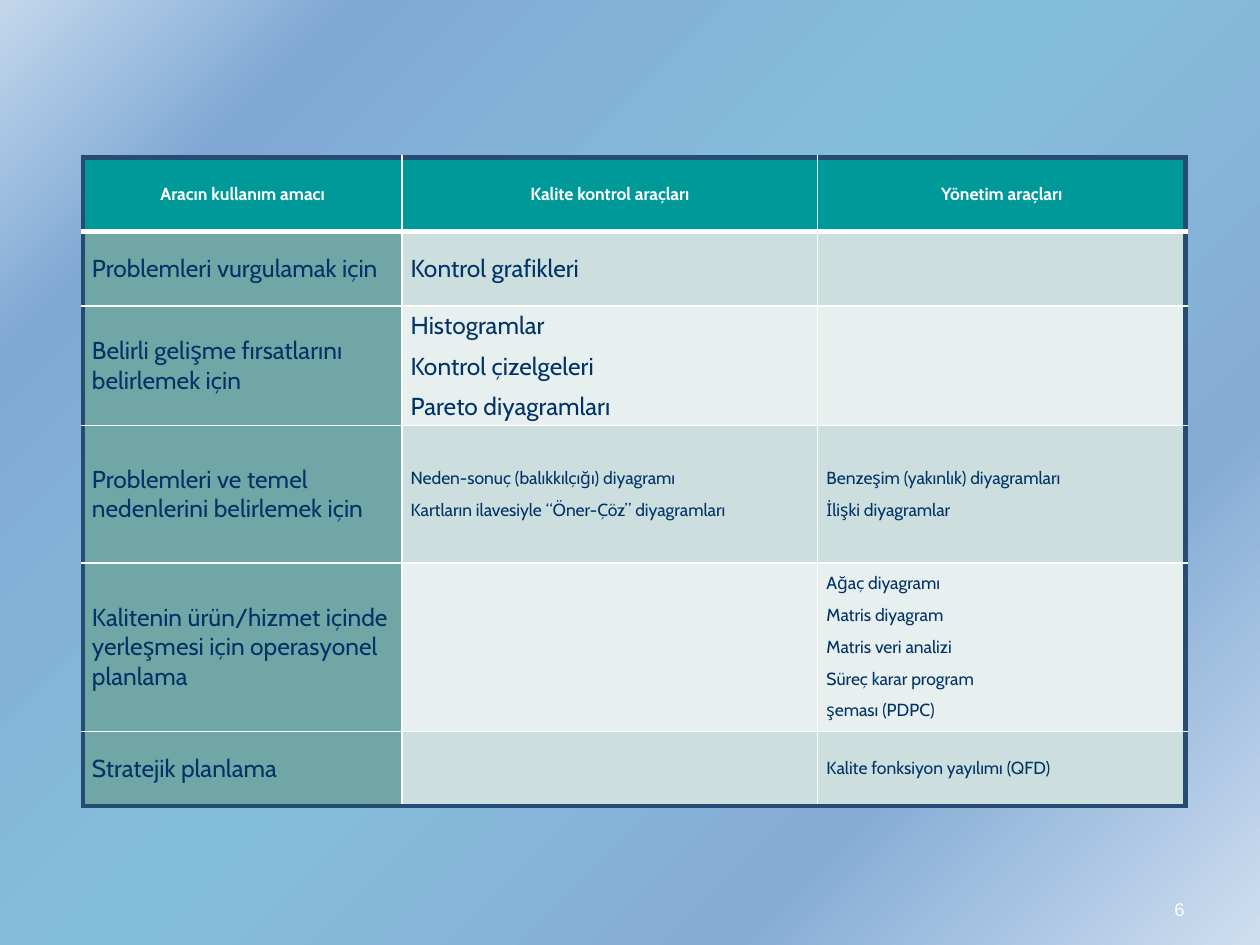
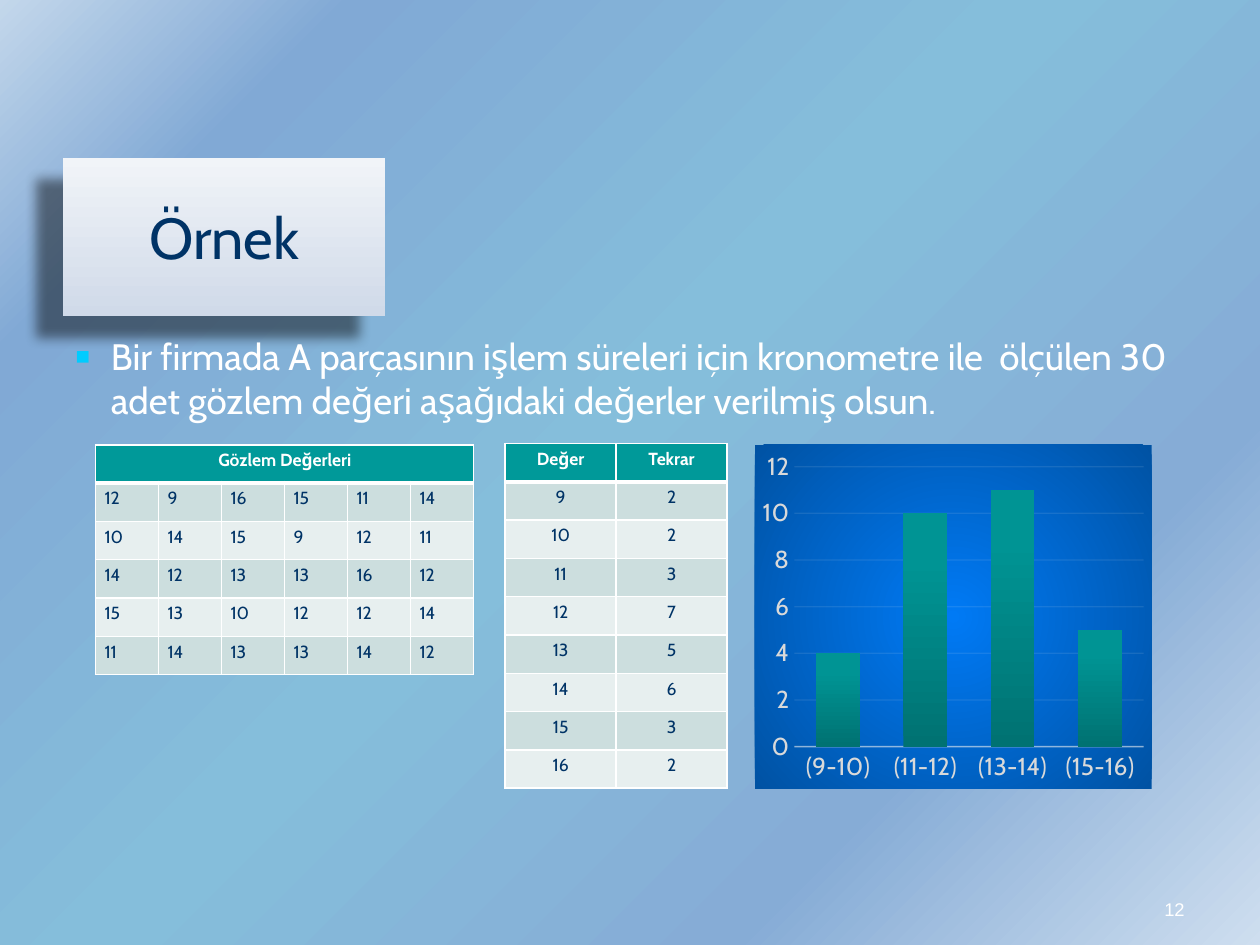
from pptx import Presentation
from pptx.chart.data import CategoryChartData
from pptx.dml.color import RGBColor
from pptx.enum.chart import XL_CHART_TYPE, XL_TICK_MARK
from pptx.enum.text import MSO_ANCHOR, PP_ALIGN
from pptx.oxml import parse_xml
from pptx.oxml.ns import nsdecls, qn
from pptx.util import Inches, Pt

LEFT, CENTER, RIGHT = PP_ALIGN.LEFT, PP_ALIGN.CENTER, PP_ALIGN.RIGHT
TOP, MIDDLE, BOTTOM = MSO_ANCHOR.TOP, MSO_ANCHOR.MIDDLE, MSO_ANCHOR.BOTTOM
COLUMNS = XL_CHART_TYPE.COLUMN_CLUSTERED
NO_TICKS = XL_TICK_MARK.NONE

WIDTH, HEIGHT = 10, 7.5
MARGIN = WIDTH * 0.05
FONT, NUMBER_FONT = "Cabin", "Arial"
WHITE, NAVY, TEAL, FRAME = "FFFFFF", "003366", "009999", "264C73"
SAGE, BANDS = "71A6A6", ("CCDEDE", "E7EFEF")
AXIS_TEXT, AXIS_LINE, BULLET = "D9D9D9", "F2F2F2", "00CCFF"

SKY = [(0, "CEDEEF"), (24, "86ACD6"), (53, "85BEDB"), (84, "81A9D5"), (100, "C3D7EB")]
TITLE_PLATE = [(0, "F1F4F8"), (100, "D0DAE9")]
CHART_GLOW = [(0, "007AF5"), (100, "0052A3")]
BAR_SHADE = [(0, "007272"), (80, "009494"), (100, "009595")]

TOOLS = [
    ["Aracın kullanım amacı", "Kalite kontrol araçları", "Yönetim araçları"],
    ["Problemleri vurgulamak için", "Kontrol grafikleri", ""],
    ["Belirli gelişme fırsatlarını\nbelirlemek için",
     "Histogramlar\nKontrol çizelgeleri\nPareto diyagramları", ""],
    ["Problemleri ve temel\nnedenlerini belirlemek için",
     "Neden-sonuç (balıkkılçığı) diyagramı\nKartların ilavesiyle “Öner-Çöz” diyagramları",
     "Benzeşim (yakınlık) diyagramları\nİlişki diyagramlar"],
    ["Kalitenin ürün/hizmet içinde\nyerleşmesi için operasyonel\nplanlama", "",
     "Ağaç diyagramı\nMatris diyagram\nMatris veri analizi\nSüreç karar program\nşeması (PDPC)"],
    ["Stratejik planlama", "", "Kalite fonksiyon yayılımı (QFD)"],
]
TOOL_COLS = [2.53, 3.3, 2.92]
TOOL_ROWS = [0.59, 0.59, 0.88, 1.09, 1.34, 0.59]

EXAMPLE = "Örnek"
TASK = ("Bir firmada A parçasının işlem süreleri için kronometre ile  ölçülen 30 adet "
        "gözlem değeri aşağıdaki değerler verilmiş olsun.")
OBSERVATIONS = [
    ["Gözlem Değerleri", "", "", "", "", ""],
    [12, 9, 16, 15, 11, 14],
    [10, 14, 15, 9, 12, 11],
    [14, 12, 13, 13, 16, 12],
    [15, 13, 10, 12, 12, 14],
    [11, 14, 13, 13, 14, 12],
]
FREQUENCIES = [["Değer", "Tekrar"], [9, 2], [10, 2], [11, 3], [12, 7],
               [13, 5], [14, 6], [15, 3], [16, 2]]
GROUPS = {"(9-10)": 4, "(11-12)": 10, "(13-14)": 11, "(15-16)": 5}
ROW = 0.304


def rgb(color):
    return RGBColor.from_string(color)


def box(*lengths):
    return [Inches(length) for length in lengths]


def gradient(stops, angle=None, focus=None):
    marks = "".join(f'<a:gs pos="{at * 1000}"><a:srgbClr val="{color}"/></a:gs>'
                    for at, color in stops)
    if focus:
        sides = " ".join(f'{side}="{share * 1000}"' for side, share in zip("ltrb", focus))
        shade = f'<a:path path="circle"><a:fillToRect {sides}/></a:path>'
    else:
        shade = f'<a:lin ang="{angle * 60000}" scaled="0"/>'
    return parse_xml(f'<a:gradFill {nsdecls("a")} rotWithShape="1">'
                     f'<a:gsLst>{marks}</a:gsLst>{shade}</a:gradFill>')


def paint(fill, owner, stops, **shade):
    fill.gradient()
    plain = owner.find(".//" + qn("a:gradFill"))
    plain.getparent().replace(plain, gradient(stops, **shade))


def style_font(font, size, color, face=FONT, bold=False):
    font.size, font.name, font.bold = Pt(size), face, bold
    font.color.rgb = rgb(color)


def write(frame, text, size, color, align=LEFT, after=0, face=FONT, bold=False):
    frame.word_wrap = True
    for i, line in enumerate(str(text).split("\n")):
        paragraph = frame.add_paragraph() if i else frame.paragraphs[0]
        paragraph.alignment = align
        paragraph.space_after = Pt(after)
        run = paragraph.add_run()
        run.text = line
        style_font(run.font, size, color, face, bold)


def add_number(slide, number):
    frame = slide.shapes.add_textbox(*box(7.17, 6.83, WIDTH - MARGIN - 7.17, 0.52)).text_frame
    frame.vertical_anchor = BOTTOM
    write(frame, number, 10.5, WHITE, align=RIGHT, face=NUMBER_FONT)


def border(cell, **sides):
    properties = cell._tc.get_or_add_tcPr()
    for at, side in enumerate("LRTB"):
        color, width = sides[side]
        properties.insert(at, parse_xml(
            f'<a:ln{side} {nsdecls("a")} w="{Pt(width)}"><a:solidFill>'
            f'<a:srgbClr val="{color}"/></a:solidFill></a:ln{side}>'))


def add_grid(slide, left, top, content, cols, rows, style, frame=(WHITE, 1), anchor=TOP):
    table = slide.shapes.add_table(len(rows), len(cols),
                                   *box(left, top, sum(cols), sum(rows))).table
    table.first_row = table.horz_banding = False
    for column, width in zip(table.columns, cols):
        column.width = Inches(width)
    for row, height in zip(table.rows, rows):
        row.height = Inches(height)
    rule, header_rule = (WHITE, 1), (WHITE, 3)
    for r, line in enumerate(content):
        for c, text in enumerate(line):
            cell = table.cell(r, c)
            cell.margin_left = cell.margin_right = Inches(0.07)
            cell.margin_top = cell.margin_bottom = Inches(0.04)
            cell.vertical_anchor = anchor
            look = {"size": 10, "color": NAVY, "fill": BANDS[(r + 1) % 2]}
            if r == 0:
                look.update(color=WHITE, fill=TEAL, bold=True, align=CENTER)
            else:
                look.update(style(r, c, text))
            cell.fill.solid()
            cell.fill.fore_color.rgb = rgb(look.pop("fill"))
            if text != "":
                write(cell.text_frame, text, **look)
            border(cell,
                   L=rule if c else frame,
                   R=rule if c < len(cols) - 1 else frame,
                   T=frame if r == 0 else header_rule if r == 1 else rule,
                   B=header_rule if r == 0 else rule if r < len(rows) - 1 else frame)
    return table


def tool_style(r, c, text):
    if c == 0:
        return {"size": 14, "fill": SAGE}
    return {"size": 14 if r < 3 else 10, "after": 6 if "\n" in text else 0}


def add_title(slide, text):
    title = slide.shapes.title
    title.left, title.top, title.width, title.height = box(MARGIN, 1.25, 2.56, 1.26)
    title.text_frame.vertical_anchor = MIDDLE
    write(title.text_frame, text, 33, NAVY, align=CENTER)
    paint(title.fill, title.element, TITLE_PLATE, angle=90)
    title.element.spPr.append(parse_xml(
        f'<a:effectLst {nsdecls("a")}><a:outerShdw blurRad="{Inches(0.1)}" dist="{Inches(0.27)}" '
        f'dir="{141 * 60000}" algn="tl" rotWithShape="0"><a:srgbClr val="000000">'
        '<a:alpha val="45000"/></a:srgbClr></a:outerShdw></a:effectLst>'))


def add_task(slide, text):
    body = slide.placeholders[1]
    body.left, body.top, body.width, body.height = box(MARGIN, 2.6, WIDTH - 2 * MARGIN, 3.38)
    write(body.text_frame, text, 21, WHITE)
    paragraph = body.text_frame.paragraphs[0]
    paragraph.space_before = Pt(4.2)
    properties = paragraph._p.get_or_add_pPr()
    properties.set("marL", str(Inches(0.28)))
    properties.set("indent", str(-Inches(0.28)))
    for mark in (f'<a:buClr {nsdecls("a")}><a:srgbClr val="{BULLET}"/></a:buClr>',
                 f'<a:buSzPct {nsdecls("a")} val="65000"/>',
                 f'<a:buFont {nsdecls("a")} typeface="{NUMBER_FONT}"/>',
                 f'<a:buChar {nsdecls("a")} char="■"/>'):
        properties.append(parse_xml(mark))


def faint_line(line, width, opacity):
    line.width = Pt(width)
    line.color.rgb = rgb(AXIS_LINE)
    color = line._ln.find(".//" + qn("a:srgbClr"))
    color.append(parse_xml(f'<a:alpha {nsdecls("a")} val="{opacity * 1000}"/>'))


def add_histogram(slide, groups):
    data = CategoryChartData()
    data.categories = list(groups)
    data.add_series("Series 1", list(groups.values()))
    chart = slide.shapes.add_chart(COLUMNS, *box(5.99, 3.53, 3.15, 2.73), data).chart
    chart.has_legend = chart.has_title = False
    style_font(chart.font, 14, WHITE)
    for axis in (chart.category_axis, chart.value_axis):
        axis.major_tick_mark = axis.minor_tick_mark = NO_TICKS
        style_font(axis.tick_labels.font, 14, AXIS_TEXT)
    faint_line(chart.category_axis.format.line, 1, 54)
    values = chart.value_axis
    values.minimum_scale, values.maximum_scale, values.major_unit = 0, 12, 2
    values.format.line.fill.background()
    faint_line(values.major_gridlines.format.line, 0.75, 10)
    bars = chart.plots[0]
    bars.gap_width, bars.overlap, bars.vary_by_categories = 100, -24, False
    paint(bars.series[0].format.fill, chart.element, BAR_SHADE, angle=270)
    area = parse_xml(f'<c:spPr {nsdecls("c", "a")}><a:ln><a:noFill/></a:ln></c:spPr>')
    area.insert(0, gradient(CHART_GLOW, focus=(50, 50, 50, 50)))
    chart.element.find(qn("c:txPr")).addprevious(area)


def main():
    deck = Presentation()
    deck.slide_width, deck.slide_height = box(WIDTH, HEIGHT)
    master = deck.slide_master
    paint(master.background.fill, master.element, SKY, focus=(100, 100, 0, 0))

    tools = deck.slides.add_slide(deck.slide_layouts[6])
    add_number(tools, 6)
    add_grid(tools, 0.66, 1.25, TOOLS, TOOL_COLS, TOOL_ROWS, tool_style,
             frame=(FRAME, 3), anchor=MIDDLE)

    example = deck.slides.add_slide(deck.slide_layouts[1])
    add_title(example, EXAMPLE)
    add_task(example, TASK)
    add_number(example, 12)
    observed = add_grid(example, 0.76, 3.53, OBSERVATIONS, [0.5] * 6, [ROW] * 6,
                        lambda r, c, text: {})
    observed.cell(0, 0).merge(observed.cell(0, 5))
    add_grid(example, 4.01, 3.52, FREQUENCIES, [0.88] * 2, [ROW] * 9,
             lambda r, c, text: {"align": CENTER})
    add_histogram(example, GROUPS)

    deck.save("out.pptx")


if __name__ == "__main__":
    main()
